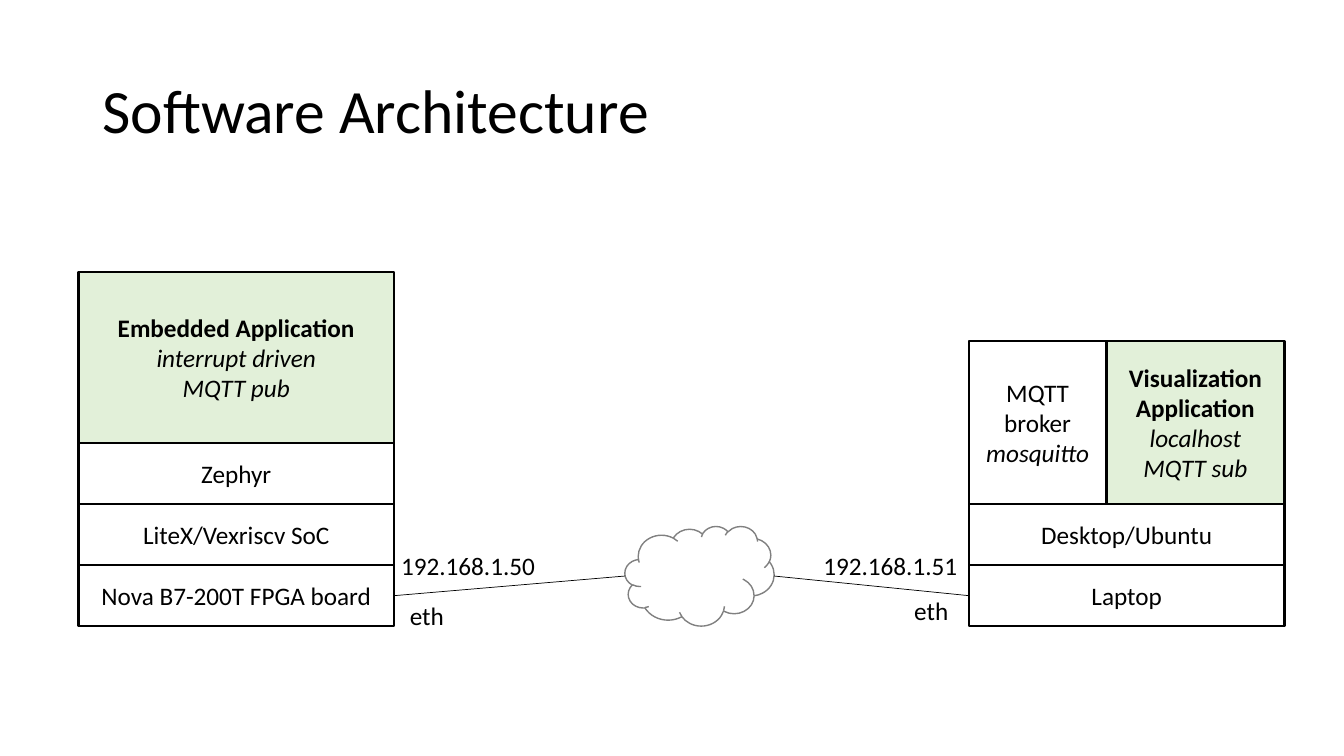
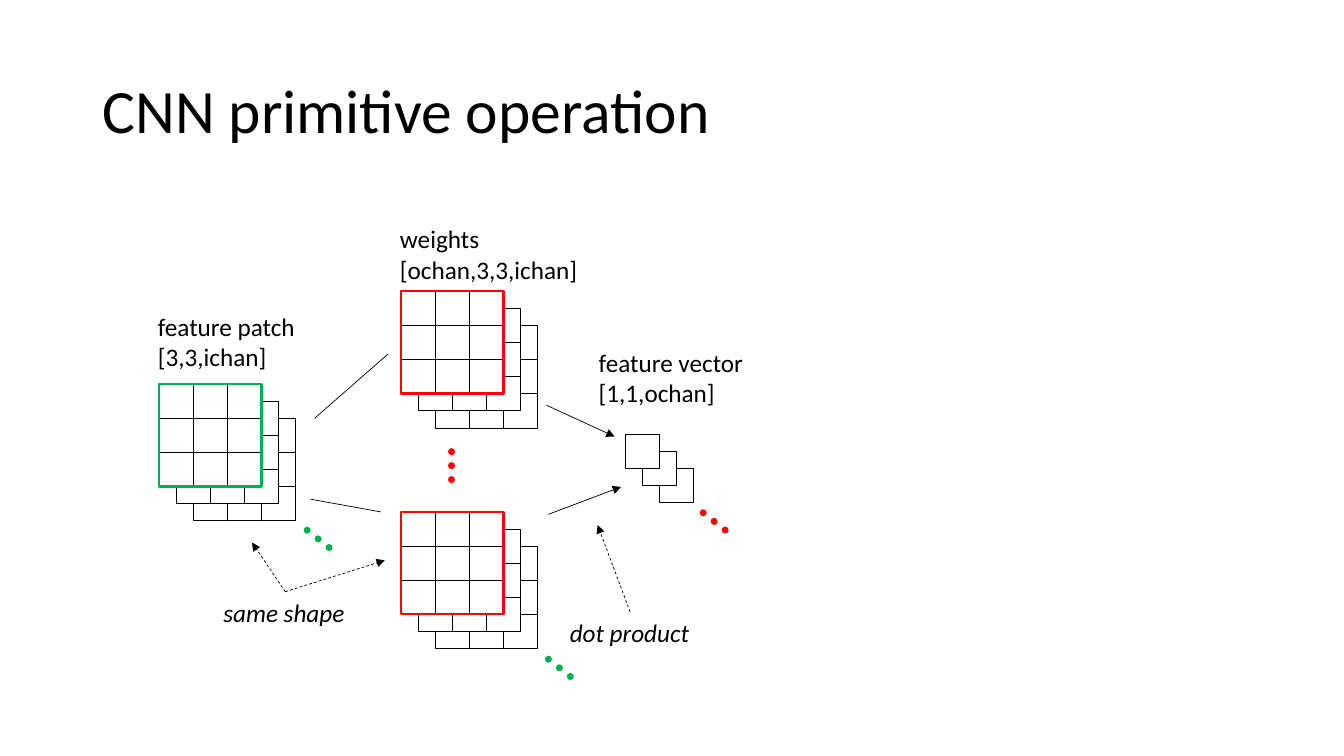
"""Builds two slides: a networked software stack and a CNN primitive operation."""
from lxml.etree import SubElement
from pptx import Presentation
from pptx.dml.color import RGBColor
from pptx.enum.dml import MSO_LINE
from pptx.enum.shapes import MSO_CONNECTOR, MSO_SHAPE
from pptx.enum.text import MSO_ANCHOR, PP_ALIGN
from pptx.oxml.ns import qn
from pptx.util import Cm, Pt

FONT = "Calibri"
COLORS = {"black": "000000", "white": "FFFFFF", "gray": "808080",
          "app": "E2F0D9", "red": "FF0000", "green": "00B050"}

STACK_WIDTH, STACK_BOTTOM = 7.95, 15.78
LAYER_HEIGHT = 1.54
BOARD_LEFT, LAPTOP_LEFT = 1.98, 24.42
STACKS = [
    (BOARD_LEFT, [
        (LAYER_HEIGHT, [(STACK_WIDTH, None, [("Nova B7-200T FPGA board", "")])]),
        (LAYER_HEIGHT, [(STACK_WIDTH, None, [("LiteX/Vexriscv SoC", "")])]),
        (LAYER_HEIGHT, [(STACK_WIDTH, None, [("Zephyr", "")])]),
        (4.3, [(STACK_WIDTH, "app", [("Embedded Application", "bold"),
                                     ("interrupt driven", "italic"),
                                     ("MQTT pub", "italic")])]),
    ]),
    (LAPTOP_LEFT, [
        (LAYER_HEIGHT, [(STACK_WIDTH, None, [("Laptop", "")])]),
        (LAYER_HEIGHT, [(STACK_WIDTH, None, [("Desktop/Ubuntu", "")])]),
        (4.11, [(3.46, None, [("MQTT broker", ""), ("mosquitto", "italic")]),
                (4.49, "app", [("Visualization Application", "bold"),
                               ("localhost", "italic"),
                               ("MQTT sub", "italic")])]),
    ]),
]
CLOUD = (15.75, 13.26, 3.76, 2.51)
NETWORK_LABELS = [
    (10.08, 15.01, 1.37, [("eth", "")]),
    (9.86, 13.74, 3.91, [("192.168.1.50", "")]),
    (20.5, 13.74, 3.91, [("192.168.1.51", "")]),
    (22.79, 14.88, 1.37, [("eth", "")]),
]

CELL, LAYER_SHIFT, LAYERS = 0.86, 0.43, 3
TENSORS = [
    (4.01, 9.68, 3, "green"),
    (10.11, 7.34, 3, "red"),
    (10.11, 12.9, 3, "red"),
    (15.76, 10.93, 1, None),
]
TENSOR_LABELS = [
    (3.73, 7.72, 4.22, [("feature patch", ""), ("[3,3,ichan]", "")]),
    (9.83, 5.51, 5.03, [("weights", ""), ("[ochan,3,3,ichan]", "")]),
    (14.84, 8.63, 4.19, [("feature vector", ""), ("[1,1,ochan]", "")]),
    (5.38, 14.92, 3.61, [("same shape", "italic")]),
    (14.11, 15.42, 3.56, [("dot product", "italic")]),
]
LINKS = [((7.93, 10.54), (9.78, 8.92)), ((7.83, 12.58), (9.6, 12.9))]
ARROWS = [((13.77, 10.21), (15.49, 11)), ((13.82, 12.96), (15.65, 12.27))]
POINTERS = [((7.19, 14.91), (6.35, 13.67)), ((7.19, 14.91), (9.7, 14.12)),
            ((15.88, 15.42), (15.06, 13.23))]
DIAGONAL, DOWN = (0.57, 0.45), (0, 1.04)
ELLIPSES = [
    ((11.38, 11.38), DOWN, "red"),
    ((17.72, 12.92), DIAGONAL, "red"),
    ((7.74, 13.36), DIAGONAL, "green"),
    ((13.82, 16.61), DIAGONAL, "green"),
]


def rgb(color):
    return RGBColor.from_string(COLORS[color])


def style_font(font, size):
    font.name, font.size = FONT, Pt(size)
    font.color.rgb = rgb("black")


def write(frame, lines, align):
    for index, (words, style) in enumerate(lines):
        paragraph = frame.add_paragraph() if index else frame.paragraphs[0]
        paragraph.text = words
        paragraph.alignment = align
        style_font(paragraph.font, 18)
        paragraph.font.bold = style == "bold"
        paragraph.font.italic = style == "italic"


def add_titled_slide(deck, heading):
    slide = deck.slides.add_slide(deck.slide_layouts[5])
    title = slide.shapes.title
    title.left, title.top, title.width, title.height = map(Cm, (2.33, 1.01, 29.21, 3.68))
    title.text_frame.text = heading
    title.text_frame.vertical_anchor = MSO_ANCHOR.MIDDLE
    paragraph = title.text_frame.paragraphs[0]
    paragraph.alignment = PP_ALIGN.LEFT
    paragraph.line_spacing = 0.9
    style_font(paragraph.font, 44)
    return slide


def add_outline(slide, place, fill=None, line="black", weight=1.75,
                preset=MSO_SHAPE.RECTANGLE):
    outline = slide.shapes.add_shape(preset, *map(Cm, place))
    outline.shadow.inherit = False
    if fill:
        outline.fill.solid()
        outline.fill.fore_color.rgb = rgb(fill)
    else:
        outline.fill.background()
    outline.line.color.rgb = rgb(line)
    outline.line.width = Pt(weight)
    return outline


def add_label(slide, left, top, width, lines):
    height = 0.26 + 0.77 * len(lines)
    label = slide.shapes.add_textbox(*map(Cm, (left, top, width, height)))
    label.text_frame.word_wrap = False
    write(label.text_frame, lines, PP_ALIGN.LEFT)


def add_line(slide, start, end, color="black", weight=0.5, dash=None, arrow=False):
    line = slide.shapes.add_connector(MSO_CONNECTOR.STRAIGHT, *map(Cm, start + end))
    line.line.color.rgb = rgb(color)
    line.line.width = Pt(weight)
    if dash:
        line.line.dash_style = dash
    properties = line._element.spPr
    stroke = properties.find(qn("a:ln"))
    if dash == MSO_LINE.ROUND_DOT:
        stroke.set("cap", "rnd")
    if arrow:
        SubElement(stroke, qn("a:tailEnd"), type="triangle")
    SubElement(properties, qn("a:effectLst"))


def add_stack(slide, left, layers):
    top = STACK_BOTTOM
    for height, parts in layers:
        top -= height
        part_left = left
        for width, fill, lines in parts:
            part = add_outline(slide, (part_left, top, width, height), fill)
            part.text_frame.word_wrap = True
            part.text_frame.vertical_anchor = MSO_ANCHOR.MIDDLE
            write(part.text_frame, lines, PP_ALIGN.CENTER)
            part_left += width


def add_tensor(slide, left, top, side, frame_color):
    for layer in reversed(range(LAYERS)):
        shift = layer * LAYER_SHIFT
        for row in range(side):
            for column in range(side):
                covered = layer > 0 and max(row, column) < side - 1
                if not covered:
                    place = (left + shift + column * CELL, top + shift + row * CELL,
                             CELL, CELL)
                    add_outline(slide, place, "white", weight=0.25)
    if frame_color:
        add_outline(slide, (left, top, side * CELL, side * CELL), line=frame_color)


def build_architecture(deck):
    slide = add_titled_slide(deck, "Software Architecture")
    for left, layers in STACKS:
        add_stack(slide, left, layers)
    add_outline(slide, CLOUD, line="gray", weight=1, preset=MSO_SHAPE.CLOUD)
    cloud_left, cloud_top, cloud_width, cloud_height = CLOUD
    cloud_middle = cloud_top + cloud_height / 2
    port = STACK_BOTTOM - LAYER_HEIGHT / 2
    add_line(slide, (cloud_left, cloud_middle), (BOARD_LEFT + STACK_WIDTH, port))
    add_line(slide, (LAPTOP_LEFT, port), (cloud_left + cloud_width, cloud_middle))
    for label in NETWORK_LABELS:
        add_label(slide, *label)


def build_operation(deck):
    slide = add_titled_slide(deck, "CNN primitive operation")
    for tensor in TENSORS:
        add_tensor(slide, *tensor)
    for label in TENSOR_LABELS:
        add_label(slide, *label)
    for start, end in LINKS:
        add_line(slide, start, end)
    for start, end in ARROWS:
        add_line(slide, start, end, arrow=True)
    for start, end in POINTERS:
        add_line(slide, start, end, dash=MSO_LINE.DASH, arrow=True)
    for (left, top), (across, down), color in ELLIPSES:
        add_line(slide, (left, top), (left + across, top + down), color, 5,
                 MSO_LINE.ROUND_DOT)


def main():
    deck = Presentation()
    deck.slide_width, deck.slide_height = Cm(33.87), Cm(19.05)
    build_architecture(deck)
    build_operation(deck)
    deck.save("out.pptx")


if __name__ == "__main__":
    main()
